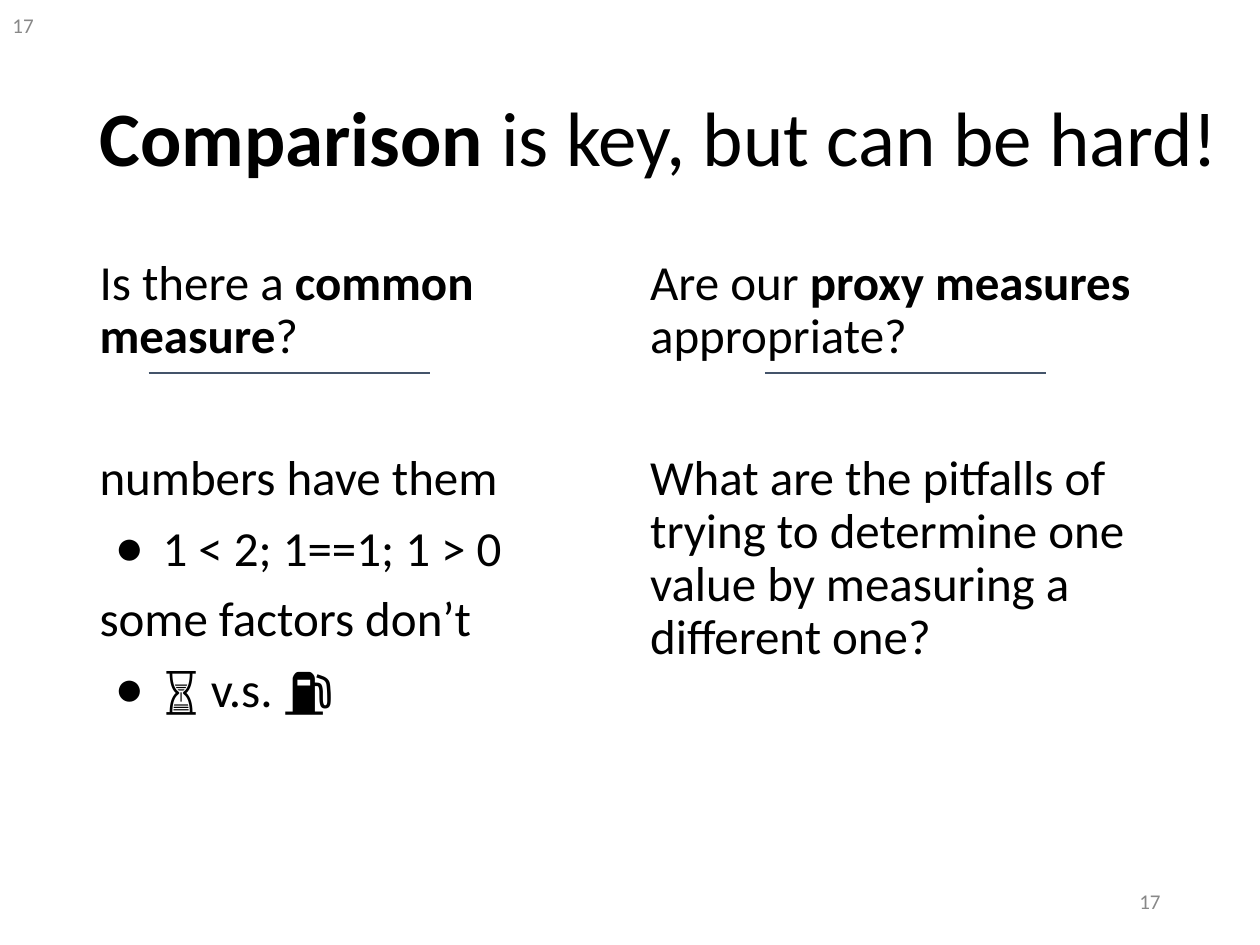
import pptx
import pptx.dml.color
import pptx.enum.shapes
import pptx.enum.text
import pptx.oxml.ns
import pptx.util
from lxml import etree
from pptx.util import Inches

BLACK = pptx.dml.color.RGBColor(0x00, 0x00, 0x00)
GRAY = pptx.dml.color.RGBColor(0x88, 0x88, 0x88)
SLATE = pptx.dml.color.RGBColor(0x44, 0x54, 0x6A)
FONT = "Calibri"
ALIGN = pptx.enum.text.PP_ALIGN
MIDDLE = pptx.enum.text.MSO_ANCHOR.MIDDLE


def place(shape, box):
    shape.left, shape.top, shape.width, shape.height = box
    frame = shape.text_frame
    frame.word_wrap = True
    frame.auto_size = pptx.enum.text.MSO_AUTO_SIZE.NONE
    return frame


def add_runs(para, runs, size, color=BLACK):
    for text, bold in runs:
        span = para.add_run()
        span.text = text
        span.font.name = FONT
        span.font.size = pptx.util.Pt(size)
        span.font.bold = bold
        span.font.color.rgb = color


def set_bullet(para, bulleted):
    properties = para._p.get_or_add_pPr()
    properties.set("marL", str(Inches(0.5) if bulleted else 0))
    properties.set("indent", str(Inches(-0.38) if bulleted else 0))
    tag = "a:buChar" if bulleted else "a:buNone"
    bullet = etree.SubElement(properties, pptx.oxml.ns.qn(tag))
    if bulleted:
        bullet.set("char", "●")


def fill_title(page, box):
    frame = place(page.shapes.title, box)
    frame.vertical_anchor = MIDDLE
    para = frame.paragraphs[0]
    para.alignment = ALIGN.LEFT
    para.line_spacing = 0.9
    add_runs(para, [("Comparison", True), (" is key, but can be hard!", False)], 44)


def fill_column(placeholder, box, items):
    frame = place(placeholder, box)
    for index, (runs, bulleted, space) in enumerate(items):
        para = frame.add_paragraph() if index else frame.paragraphs[0]
        set_bullet(para, bulleted)
        para.line_spacing = 0.9
        para.space_before = pptx.util.Pt(space)
        add_runs(para, runs, 28)


def add_rule(page, left, top, width):
    rule = page.shapes.add_connector(
        pptx.enum.shapes.MSO_CONNECTOR.STRAIGHT, left, top, left + width, top)
    rule.line.color.rgb = SLATE
    rule.line.width = pptx.util.Pt(0.75)
    etree.SubElement(rule._element.spPr, pptx.oxml.ns.qn("a:effectLst"))


def add_page_number(page, box, alignment):
    frame = place(page.shapes.add_textbox(*box), box)
    frame.vertical_anchor = MIDDLE
    para = frame.paragraphs[0]
    para.alignment = alignment
    add_runs(para, [("17", False)], 12, GRAY)


def main():
    deck = pptx.Presentation()
    deck.slide_width, deck.slide_height = Inches(10), Inches(7.5)
    page = deck.slides.add_slide(deck.slide_layouts.get_by_name("Two Content"))
    number_size = (Inches(2.25), Inches(0.4))

    add_page_number(page, (0, 0, *number_size), ALIGN.LEFT)
    fill_title(page, (Inches(0.69), Inches(0.4), Inches(9.31), Inches(1.45)))

    after_question, normal = 51, 10
    measure_items = [
        ([("Is there a ", False), ("common measure", True), ("?", False)], False, 0),
        ([("numbers have them", False)], False, after_question),
        ([("1 < 2; 1==1; 1 > 0", False)], True, normal),
        ([("some factors don’t", False)], False, normal),
        ([("⏳ v.s. ⛽️", False)], True, normal),
    ]
    proxy_items = [
        ([("Are our ", False), ("proxy measures", True), (" appropriate?", False)], False, 0),
        ([("What are the pitfalls of trying to determine one value "
           "by measuring a different one?", False)], False, after_question),
    ]
    columns = [(1, 0.69, 1.18, measure_items), (2, 5.06, 6.07, proxy_items)]
    for number, left, rule_left, items in columns:
        box = (Inches(left), Inches(2), Inches(4.25), Inches(4.76))
        fill_column(page.placeholders[number], box, items)
        add_rule(page, Inches(rule_left), Inches(2.96), Inches(2.23))

    add_page_number(page, (Inches(7.06), Inches(6.95), *number_size), ALIGN.RIGHT)
    deck.save("out.pptx")


if __name__ == "__main__":
    main()
